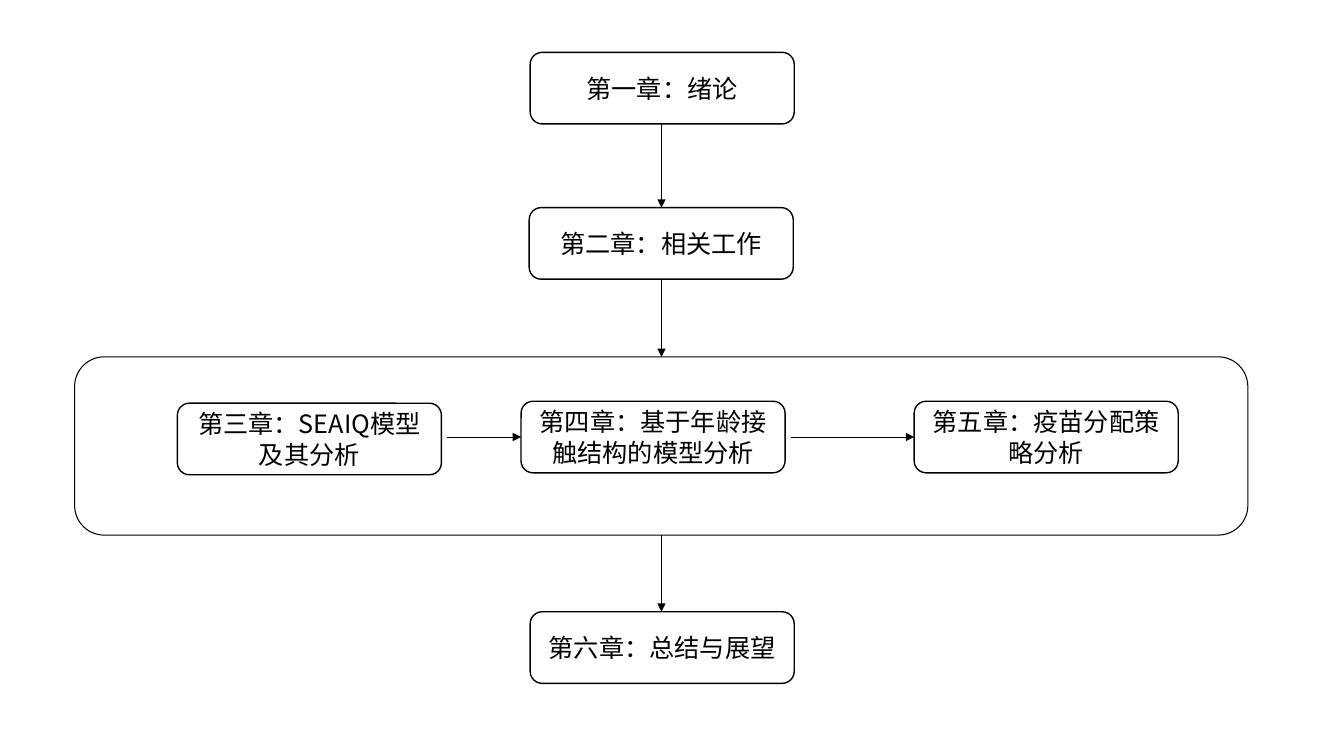
import pptx
import pptx.dml.color
import pptx.enum.shapes
import pptx.enum.text
import pptx.util
from lxml import etree
from pptx.oxml.ns import qn

Pt = pptx.util.Pt
SHAPE = pptx.enum.shapes.MSO_SHAPE.ROUNDED_RECTANGLE
FONT = "Noto Sans CJK SC"
BLACK, WHITE = "000000", "FFFFFF"
BOX_W, BOX_H = 188.6, 51.1
FRAME = (53.3, 254.9, 838.1, 127.4)  # left, top, width, height
AXIS_X = 472.5
ARROW_GAP = 4

# chapter: (text, left, top)
CHAPTERS = {
    1: ("第一章：绪论", 378.7, 37.4),
    2: ("第二章：相关工作", 378, 148.3),
    3: ("第三章：SEAIQ模型及其分析", 126.7, 288),
    4: ("第四章：基于年龄接触结构的模型分析", 372.2, 286.6),
    5: ("第五章：疫苗分配策略分析", 653, 286.6),
    6: ("第六章：总结与展望", 378.7, 437),
}
ROW_ARROWS = [(3, 4), (4, 5)]


def rgb(color):
    return pptx.dml.color.RGBColor.from_string(color)


def add_box(left, top, width, height, line_width, fill=None):
    sp = s.shapes.add_shape(SHAPE, Pt(left), Pt(top), Pt(width), Pt(height))
    sp.shadow.inherit = False
    if fill:
        sp.fill.solid()
        sp.fill.fore_color.rgb = rgb(fill)
    else:
        sp.fill.background()
    sp.line.color.rgb = rgb(BLACK)
    sp.line.width = Pt(line_width)
    return sp


def add_chapter(text, left, top):
    tf = add_box(left, top, BOX_W, BOX_H, 1, WHITE).text_frame
    tf.word_wrap = True
    tf.vertical_anchor = pptx.enum.text.MSO_ANCHOR.MIDDLE
    p = tf.paragraphs[0]
    p.text = text
    p.alignment = pptx.enum.text.PP_ALIGN.CENTER
    p.font.size = Pt(18)
    p.font.color.rgb = rgb(BLACK)
    p.font.name = FONT
    # East Asian characters take their typeface from a:ea
    props = p._p.pPr.find(qn("a:defRPr"))
    etree.SubElement(props, qn("a:ea"), typeface=FONT)


def add_arrow(x1, y1, x2, y2):
    kind = pptx.enum.shapes.MSO_CONNECTOR.STRAIGHT
    cx = s.shapes.add_connector(kind, Pt(x1), Pt(y1), Pt(x2), Pt(y2))
    cx.line.color.rgb = rgb(BLACK)
    cx.line.width = Pt(0.5)
    etree.SubElement(cx.line._get_or_add_ln(), qn("a:tailEnd"), type="triangle")
    etree.SubElement(cx._element.spPr, qn("a:effectLst"))


prs = pptx.Presentation()
prs.slide_width, prs.slide_height = Pt(960), Pt(540)
s = prs.slides.add_slide(prs.slide_layouts[6])

add_box(*FRAME, 0.75)
for chapter in CHAPTERS.values():
    add_chapter(*chapter)

# Downward arrows join each stage's bottom edge to the next stage's top edge
tops = {n: CHAPTERS[n][2] for n in (1, 2, 6)}
stages = [
    (tops[1], BOX_H),
    (tops[2], BOX_H),
    (FRAME[1], FRAME[3]),
    (tops[6], BOX_H),
]
for (top, height), (next_top, _) in zip(stages, stages[1:]):
    add_arrow(AXIS_X, top + height, AXIS_X, next_top)

row_y = CHAPTERS[4][2] + BOX_H / 2
for start, end in ROW_ARROWS:
    add_arrow(CHAPTERS[start][1] + BOX_W + ARROW_GAP, row_y, CHAPTERS[end][1], row_y)

prs.save("out.pptx")
